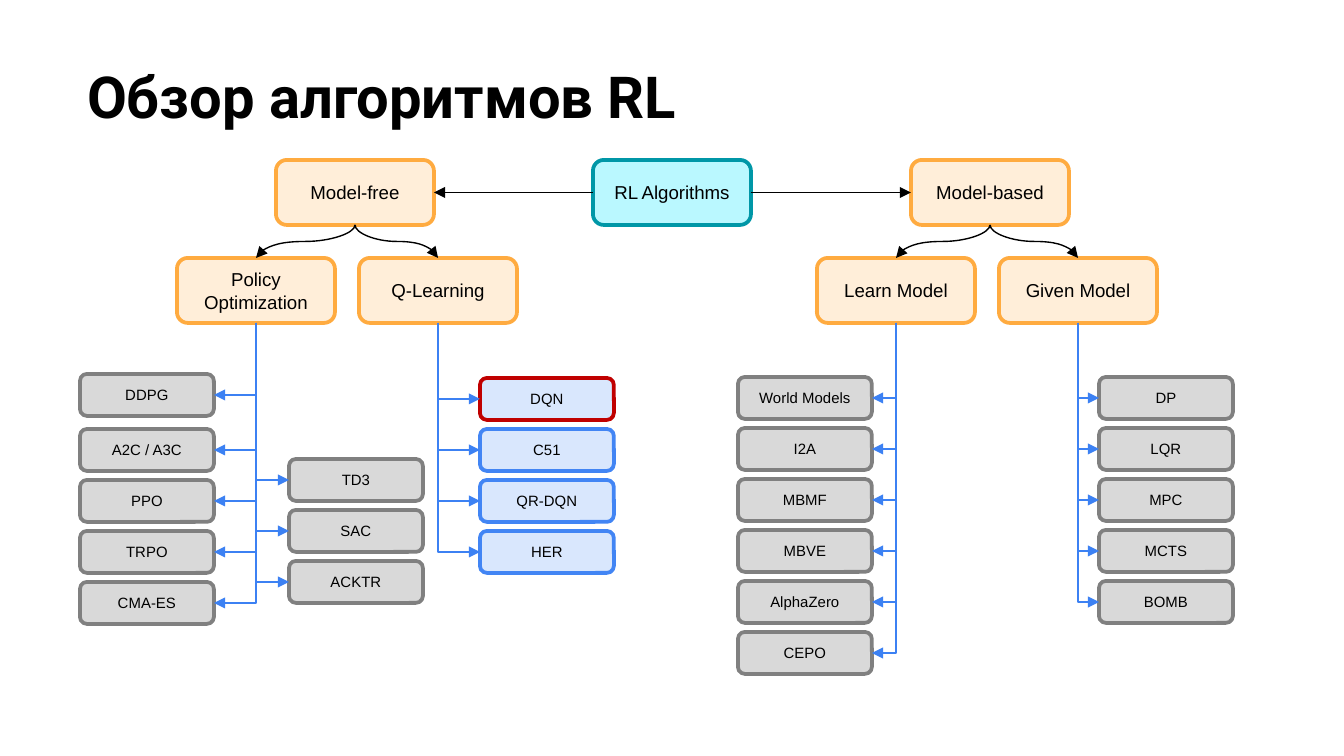
from lxml import etree
from pptx import Presentation
from pptx.dml.color import RGBColor
from pptx.enum.shapes import MSO_CONNECTOR, MSO_SHAPE
from pptx.enum.text import MSO_ANCHOR, MSO_AUTO_SIZE, PP_ALIGN
from pptx.oxml.ns import qn
from pptx.util import Emu, Pt

SCALE = 914400 / 134.4
BLACK = RGBColor(0x00, 0x00, 0x00)
CYAN = RGBColor(0xBA, 0xF8, 0xFF)
TEAL = RGBColor(0x00, 0x97, 0xA7)
CREAM = RGBColor(0xFF, 0xEE, 0xD9)
ORANGE = RGBColor(0xFF, 0xAB, 0x40)
LIGHT_GRAY = RGBColor(0xD9, 0xD9, 0xD9)
GRAY = RGBColor(0x80, 0x80, 0x80)
PALE_BLUE = RGBColor(0xD9, 0xE7, 0xFD)
BLUE = RGBColor(0x42, 0x85, 0xF4)
ARROW_BLUE = RGBColor(0x3C, 0x81, 0xF3)
RED = RGBColor(0xC0, 0x00, 0x00)

TOP, LEFT, BOTTOM, RIGHT = range(4)  # connection sites of a rounded rectangle
GROUP_SIZE = (158, 65)
LEAF_SIZE = (134, 42)
LEAF_PITCH = 51

ROOT_STYLE = {"size": GROUP_SIZE, "fill": CYAN, "line": TEAL, "pt": 10}
GROUP_STYLE = {"size": GROUP_SIZE, "fill": CREAM, "line": ORANGE, "pt": 10}
LEAF_STYLE = {"size": LEAF_SIZE, "fill": LIGHT_GRAY, "line": GRAY, "pt": 8}
Q_STYLE = LEAF_STYLE | {"fill": PALE_BLUE, "line": BLUE}
DQN_STYLE = Q_STYLE | {"line": RED}

# branch: (x, arrow side of the root, [(subgroup, x)])
BRANCHES = {
    "Model-free": (276, LEFT, [("Policy Optimization", 177), ("Q-Learning", 359)]),
    "Model-based": (911, RIGHT, [("Learn Model", 817), ("Given Model", 999)]),
}

# (subgroup, x, top, style, labels)
LEAF_COLUMNS = [
    ("Policy Optimization", 80, 374, LEAF_STYLE, ["DDPG"]),
    ("Policy Optimization", 80, 429, LEAF_STYLE, ["A2C / A3C", "PPO", "TRPO", "CMA-ES"]),
    ("Policy Optimization", 289, 459, LEAF_STYLE, ["TD3", "SAC", "ACKTR"]),
    ("Q-Learning", 480, 378, DQN_STYLE, ["DQN"]),
    ("Q-Learning", 480, 429, Q_STYLE, ["C51", "QR-DQN", "HER"]),
    ("Learn Model", 738, 377, LEAF_STYLE,
     ["World Models", "I2A", "MBMF", "MBVE", "AlphaZero", "CEPO"]),
    ("Given Model", 1099, 377, LEAF_STYLE, ["DP", "LQR", "MPC", "MCTS", "BOMB"]),
]


def px(n):
    return Emu(round(n * SCALE))


def set_attrs(obj, values):
    for name, value in values.items():
        setattr(obj, name, value)


def write(tf, text, align, size, font, bold=False):
    p = tf.paragraphs[0]
    p.alignment = align
    r = p.add_run()
    r.text = text
    set_attrs(r.font, {"name": font, "size": Pt(size), "bold": bold})
    r.font.color.rgb = BLACK


def add_title(s, text):
    sp = s.shapes.title
    set_attrs(sp, {"left": px(74), "top": px(48), "width": px(1253), "height": px(161)})
    tf = sp.text_frame
    set_attrs(tf, {"vertical_anchor": MSO_ANCHOR.TOP, "auto_size": MSO_AUTO_SIZE.NONE,
                   "word_wrap": True})
    for side in ("left", "top", "right", "bottom"):
        setattr(tf, f"margin_{side}", px(13))
    write(tf, text, PP_ALIGN.LEFT, 31, "Roboto", True)


def add_box(s, text, x, y, style):
    w, h = style["size"]
    sp = s.shapes.add_shape(MSO_SHAPE.ROUNDED_RECTANGLE, px(x), px(y), px(w), px(h))
    sp.shadow.inherit = False
    sp.fill.solid()
    sp.fill.fore_color.rgb = style["fill"]
    sp.line.color.rgb = style["line"]
    sp.line.width = Pt(2)
    tf = sp.text_frame
    set_attrs(tf, {"word_wrap": True, "vertical_anchor": MSO_ANCHOR.MIDDLE})
    write(tf, text, PP_ALIGN.CENTER, style["pt"], "Arial")
    return sp


def add_arrow(s, kind, start, start_site, end, end_site, color):
    cxn = s.shapes.add_connector(kind, 0, 0, 0, 0)
    cxn.begin_connect(start, start_site)
    cxn.end_connect(end, end_site)
    cxn.line.color.rgb = color
    cxn.line.width = Pt(0.75)
    etree.SubElement(cxn.line._get_or_add_ln(), qn("a:tailEnd"), type="triangle")
    etree.SubElement(cxn._element.spPr, qn("a:effectLst"))
    return cxn


def turn_down(cxn):
    """Rotate a bent or curved connector so that it leaves its start downwards."""
    x1, y1, x2, y2 = cxn.begin_x, cxn.begin_y, cxn.end_x, cxn.end_y
    w, h = abs(y2 - y1), abs(x2 - x1)
    xfrm = cxn._element.spPr.find(qn("a:xfrm"))
    for name in ("flipH", "flipV"):
        xfrm.attrib.pop(name, None)
    set_attrs(cxn, {"left": Emu((x1 + x2 - w) // 2), "top": Emu((y1 + y2 - h) // 2),
                    "width": Emu(w), "height": Emu(h)})
    xfrm.set("rot", str((270 if x2 > x1 else 90) * 60000))
    if x2 > x1:
        xfrm.set("flipH", "1")


def add_curve(s, parent, child):
    turn_down(add_arrow(s, MSO_CONNECTOR.CURVE, parent, BOTTOM, child, TOP, BLACK))


def add_elbow(s, parent, leaf):
    site = LEFT if leaf.left > parent.left + parent.width // 2 else RIGHT
    cxn = add_arrow(s, MSO_CONNECTOR.ELBOW, parent, BOTTOM, leaf, site, ARROW_BLUE)
    cxn._element.spPr.find(qn("a:prstGeom")).set("prst", "bentConnector2")
    turn_down(cxn)


def add_branches(s):
    """Draw the root with its two levels of groups; return the lower level by name."""
    subgroups = {}
    root = add_box(s, "RL Algorithms", 593, 160, ROOT_STYLE)
    for name, (x, side, children) in BRANCHES.items():
        branch = add_box(s, name, x, 160, GROUP_STYLE)
        facing = RIGHT if side == LEFT else LEFT
        add_arrow(s, MSO_CONNECTOR.STRAIGHT, root, side, branch, facing, BLACK)
        for child, child_x in children:
            subgroups[child] = add_box(s, child, child_x, 258, GROUP_STYLE)
            add_curve(s, branch, subgroups[child])
    return subgroups


def add_leaves(s, subgroups):
    for parent, x, top, style, labels in LEAF_COLUMNS:
        for i, label in enumerate(labels):
            leaf = add_box(s, label, x, top + i * LEAF_PITCH, style)
            add_elbow(s, subgroups[parent], leaf)


def main():
    prs = Presentation()
    set_attrs(prs, {"slide_width": px(1344), "slide_height": px(756)})
    s = prs.slides.add_slide(prs.slide_layouts[5])
    add_title(s, "Обзор алгоритмов RL")
    add_leaves(s, add_branches(s))
    prs.save("out.pptx")


if __name__ == "__main__":
    main()
